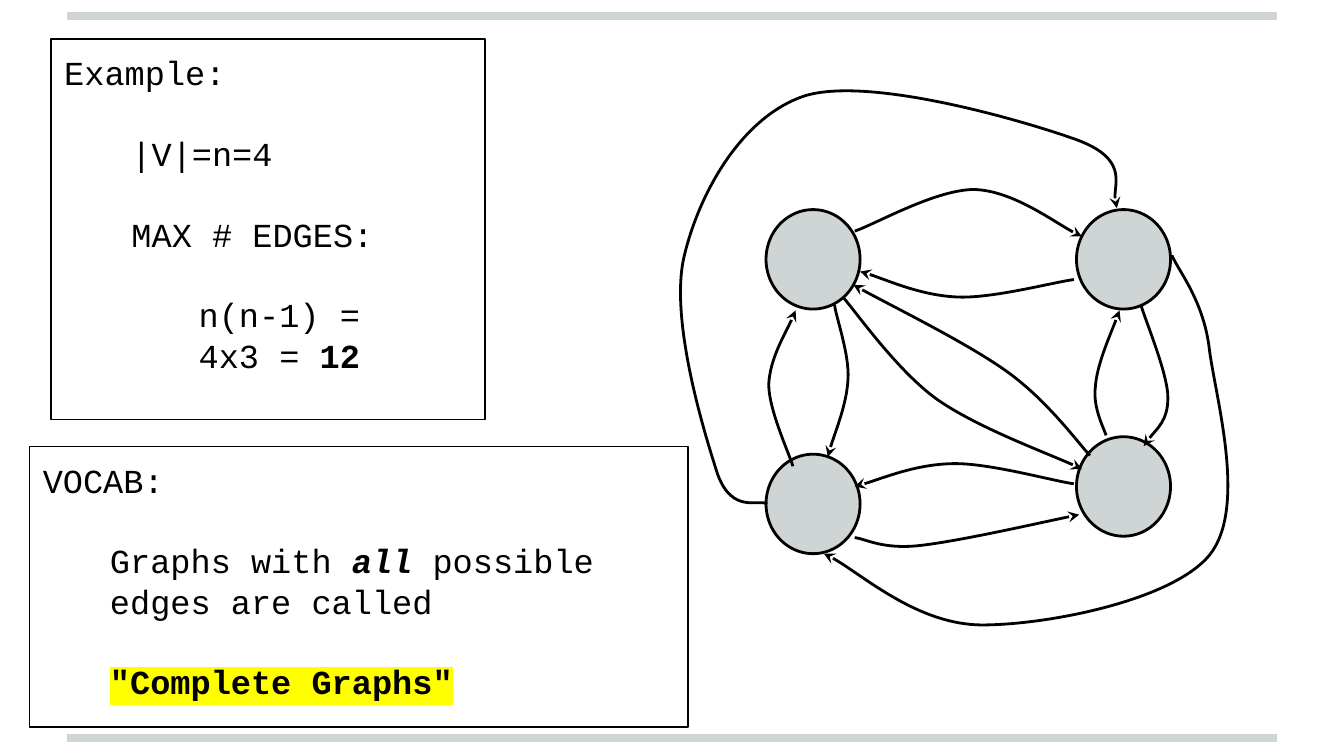
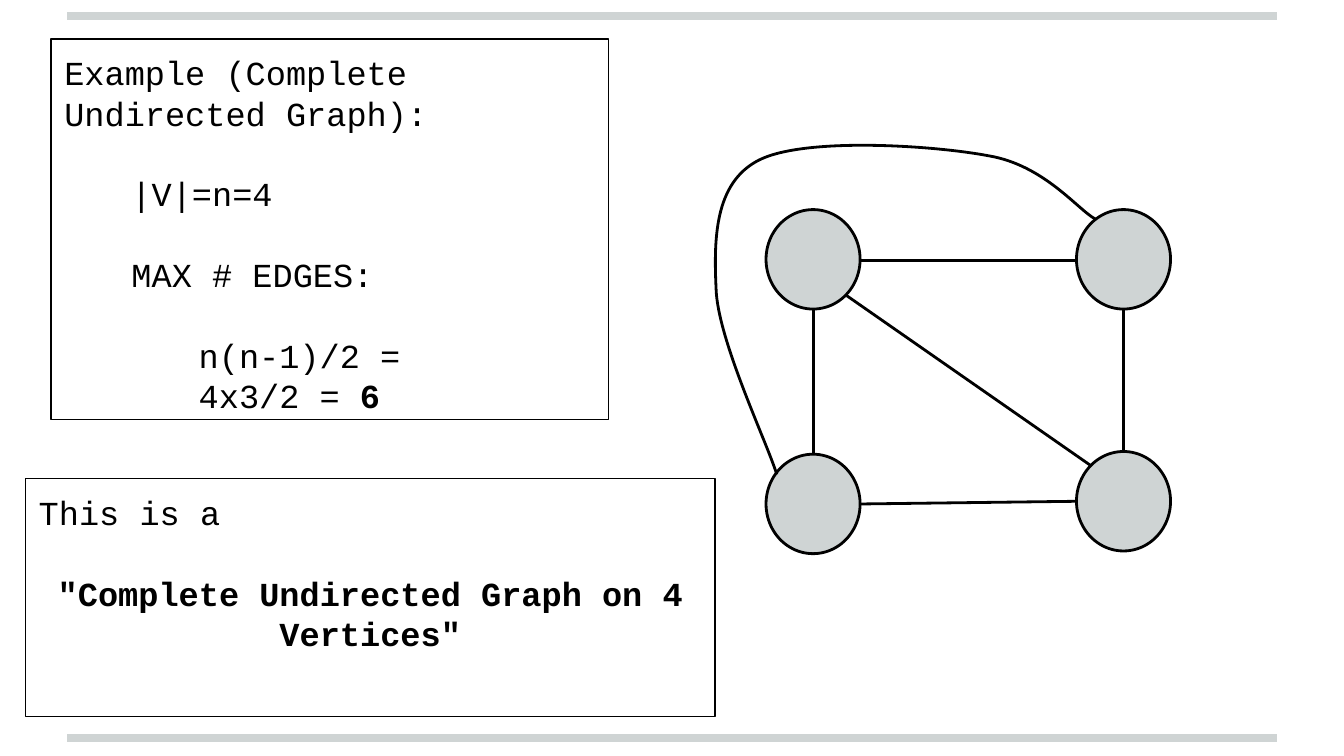
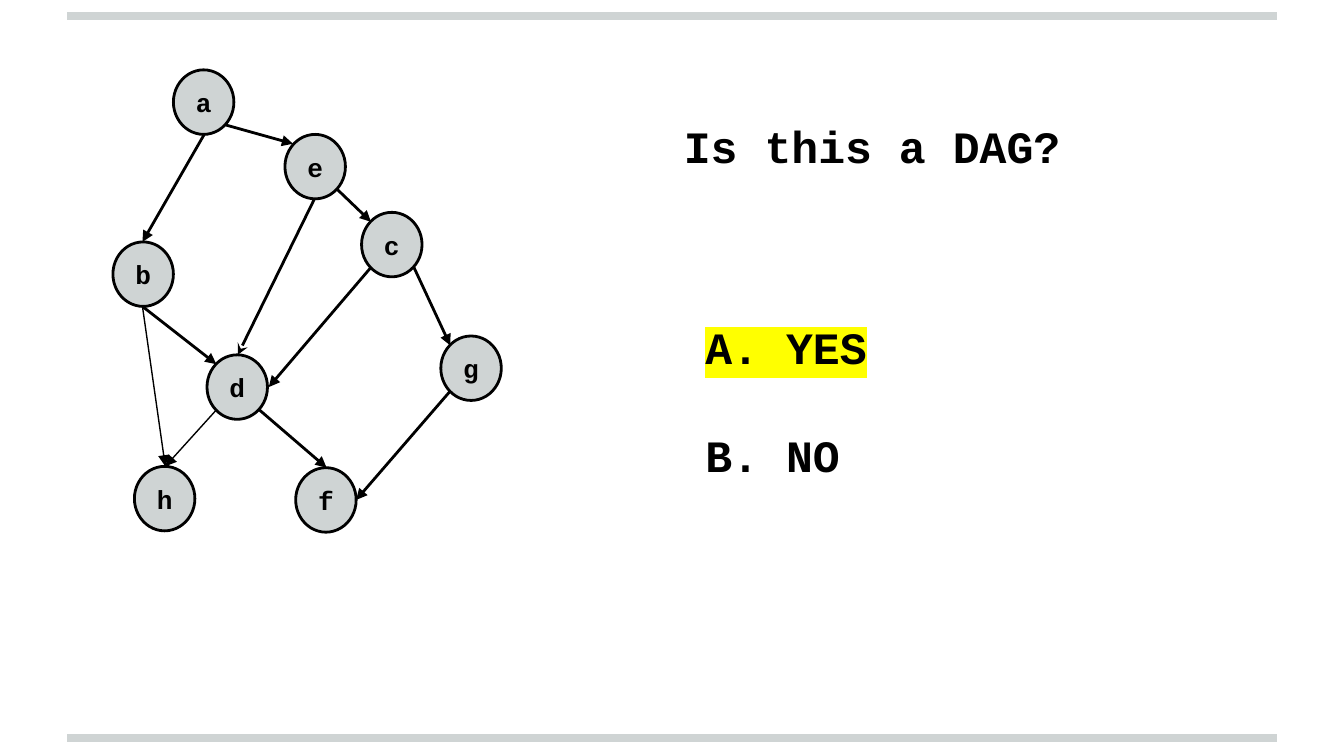
"""Builds three slides on complete graphs and directed acyclic graphs."""
from dataclasses import dataclass

from lxml import etree
from pptx import Presentation
from pptx import util as u
from pptx.dml.color import RGBColor
from pptx.enum import shapes, text
from pptx.oxml.ns import qn

PX = 9144
PAGE_WIDTH = 1000
INK = RGBColor(0x00, 0x00, 0x00)
MIST = RGBColor(0xCF, 0xD4, 0xD4)
MARKER = RGBColor(0xFF, 0xFF, 0x00)
FONT = "Courier New"
INSET = 10
INDENT = 50
LEADING = 1.2
CURVE_STEPS = 12

Point = tuple[int, int]
Frame = tuple[int, int, int, int]


@dataclass(frozen=True)
class Span:
    words: str
    bold: bool = False
    italic: bool = False
    marked: bool = False


@dataclass(frozen=True)
class Line:
    spans: tuple[Span, ...]
    level: int = 0
    gap: bool = False
    align: text.PP_ALIGN = text.PP_ALIGN.LEFT


@dataclass(frozen=True)
class Panel:
    frame: Frame
    lines: tuple[Line, ...]
    size: int = 18
    outlined: bool = True


@dataclass(frozen=True)
class Node:
    left: int
    top: int
    label: str = ""


@dataclass(frozen=True)
class Edge:
    points: tuple[Point, ...]
    head: str = ""
    tail: str = ""
    weight: float = 1.5


def plain(words: str, level: int = 0, gap: bool = False) -> Line:
    return Line((Span(words),), level, gap)


def add_page(deck):
    page = deck.slides.add_slide(deck.slide_layouts[6])
    for y in (549, 12):
        draw_line(page, Edge(((50, y), (950, y)), weight=4), MIST)
    return page


def style_line(shape, color: RGBColor, weight: float) -> None:
    shape.line.color.rgb = color
    shape.line.width = u.Pt(weight)


def add_arrowheads(shape, edge: Edge) -> None:
    outline = shape.line._get_or_add_ln()
    for tag, kind in (("a:headEnd", edge.head), ("a:tailEnd", edge.tail)):
        if kind:
            etree.SubElement(outline, qn(tag), type=kind)


def draw_line(page, edge: Edge, color: RGBColor = INK) -> None:
    ends = [value * PX for point in edge.points for value in point]
    line = page.shapes.add_connector(shapes.MSO_CONNECTOR.STRAIGHT, *ends)
    style_line(line, color, edge.weight)
    add_arrowheads(line, edge)
    etree.SubElement(line._element.spPr, qn("a:effectLst"))


def curve_point(controls: tuple[Point, ...], t: float) -> Point:
    weights = ((1 - t) ** 3, 3 * t * (1 - t) ** 2, 3 * t * t * (1 - t), t**3)
    x, y = (sum(w * p[axis] for w, p in zip(weights, controls)) for axis in (0, 1))
    return round(x), round(y)


def draw_curve(page, edge: Edge) -> None:
    points = edge.points
    starts = range(0, len(points) - 1, 3)
    samples = [
        curve_point(points[start:start + 4], step / CURVE_STEPS)
        for start in starts
        for step in range(1, CURVE_STEPS + 1)
    ]
    builder = page.shapes.build_freeform(*points[0], scale=PX)
    builder.add_line_segments(samples, close=False)
    curve = builder.convert_to_shape()
    left, top = round(curve.left / PX), round(curve.top / PX)
    outline = next(curve._element.iter(qn("a:pathLst")))[0]
    for segment in outline.findall(qn("a:lnTo")):
        outline.remove(segment)
    for start in starts:
        bezier = etree.SubElement(outline, qn("a:cubicBezTo"))
        for x, y in points[start + 1:start + 4]:
            etree.SubElement(bezier, qn("a:pt"), x=str(x - left), y=str(y - top))
    curve.shadow.inherit = False
    curve.fill.background()
    style_line(curve, INK, edge.weight)
    add_arrowheads(curve, edge)


def format_run(run, span: Span, size: int) -> None:
    font = run.font
    font.name, font.size = FONT, u.Pt(size)
    font.bold, font.italic = span.bold, span.italic
    font.color.rgb = INK
    if span.marked:
        highlight = etree.Element(qn("a:highlight"))
        etree.SubElement(highlight, qn("a:srgbClr"), val=str(MARKER))
        run._r.rPr.find(qn("a:latin")).addprevious(highlight)


def fill_paragraph(para, line: Line, size: int) -> None:
    para.text = line.spans[0].words
    for span in line.spans[1:]:
        para.add_run().text = span.words
    for run, span in zip(para.runs, line.spans):
        format_run(run, span, size)
    para.alignment = line.align


def set_insets(frame) -> None:
    frame.word_wrap = True
    frame.margin_left = frame.margin_right = INSET * PX
    frame.margin_top = frame.margin_bottom = INSET * PX


def draw_panel(page, panel: Panel) -> None:
    place = [value * PX for value in panel.frame]
    if panel.outlined:
        box = page.shapes.add_shape(shapes.MSO_SHAPE.RECTANGLE, *place)
        box.shadow.inherit = False
        box.fill.background()
        style_line(box, INK, 0.75)
    else:
        box = page.shapes.add_textbox(*place)
    frame = box.text_frame
    set_insets(frame)
    frame.vertical_anchor = text.MSO_ANCHOR.TOP
    pitch = u.Pt(panel.size * LEADING)
    for index, line in enumerate(panel.lines):
        para = frame.add_paragraph() if index else frame.paragraphs[0]
        fill_paragraph(para, line, panel.size)
        para.line_spacing = pitch
        if line.gap:
            para.space_before = pitch
        if line.level:
            para._p.get_or_add_pPr().set("marL", str(line.level * INDENT * PX))


def draw_node(page, node: Node, width: int, height: int) -> None:
    place = [value * PX for value in (node.left, node.top, width, height)]
    circle = page.shapes.add_shape(shapes.MSO_SHAPE.OVAL, *place)
    circle.shadow.inherit = False
    circle.fill.solid()
    circle.fill.fore_color.rgb = MIST
    style_line(circle, INK, 1.5)
    if node.label:
        frame = circle.text_frame
        set_insets(frame)
        frame.vertical_anchor = text.MSO_ANCHOR.MIDDLE
        label = Line((Span(node.label, bold=True),), align=text.PP_ALIGN.CENTER)
        fill_paragraph(frame.paragraphs[0], label, 14)


def draw_square_graph(page, lower_right_top: int) -> None:
    corners = ((570, 156), (801, lower_right_top), (801, 156), (570, 338))
    for left, top in corners:
        draw_node(page, Node(left, top), 70, 74)


def example_panel(width: int, title: str, formula: str, working: str, answer: str) -> Panel:
    return Panel((38, 29, width, 283), (
        plain(title),
        plain("|V|=n=4", 1, True),
        plain("MAX # EDGES:", 1, True),
        plain(formula, 2, True),
        Line((Span(working), Span(answer, bold=True)), 2),
    ))


DIRECTED_EDGES = (
    Edge(((592, 231), (589, 240), (573, 267), (572, 286), (572, 305), (587, 337), (590, 347)), head="stealth"),
    Edge(((636, 172), (651, 167), (696, 141), (725, 141), (753, 142), (791, 170), (805, 176)), tail="stealth"),
    Edge(((799, 208), (784, 210), (739, 222), (713, 221), (686, 220), (652, 205), (640, 202)), tail="stealth"),
    Edge(((833, 231), (830, 240), (816, 272), (815, 288), (813, 303), (821, 318), (823, 324)), head="stealth"),
    Edge(((851, 332), (854, 326), (869, 313), (869, 296), (869, 278), (852, 238), (849, 227)), head="stealth"),
    Edge(((803, 383), (783, 387), (712, 403), (684, 406), (657, 409), (644, 401), (636, 400)), head="stealth"),
    Edge(((636, 362), (649, 359), (683, 345), (711, 345), (738, 345), (784, 358), (799, 360)), head="stealth"),
    Edge(((616, 340), (618, 330), (630, 301), (631, 282), (632, 263), (622, 236), (621, 227)), head="stealth"),
    Edge(((628, 222), (639, 235), (668, 276), (697, 297), (727, 318), (787, 340), (805, 349)), tail="stealth"),
    Edge(((811, 339), (801, 328), (779, 298), (750, 277), (721, 256), (654, 223), (635, 212)), tail="stealth"),
    Edge(((872, 190), (877, 202), (896, 224), (900, 261), (905, 298), (928, 378), (900, 413),
          (872, 447), (779, 465), (731, 465), (683, 465), (633, 420), (613, 412)), tail="stealth"),
    Edge(((571, 375), (565, 371), (545, 383), (534, 353), (524, 322), (498, 238), (509, 191),
          (520, 144), (552, 86), (600, 71), (649, 57), (762, 90), (801, 104),
          (839, 118), (826, 147), (831, 155)), tail="stealth"),
)

UNDIRECTED_EDGES = (
    Edge(((605, 231), (605, 338))),
    Edge(((640, 194), (801, 194))),
    Edge(((836, 231), (836, 336))),
    Edge(((640, 375), (801, 373))),
    Edge(((630, 220), (811, 346))),
)

OUTER_EDGE = Edge((
    (578, 353), (571, 330), (536, 257), (533, 218), (531, 179), (531, 136), (565, 119),
    (599, 102), (694, 108), (736, 116), (777, 123), (802, 156), (815, 163),
))

DAG_NODES = (
    Node(129, 52, "a"), Node(154, 264, "d"), Node(84, 180, "b"), Node(220, 348, "f"),
    Node(269, 158, "c"), Node(328, 250, "g"), Node(212, 100, "e"), Node(100, 347, "h"),
)

DAG_EDGES = (
    Edge(((168, 93), (218, 107)), tail="triangle"),
    Edge(((251, 141), (276, 165)), tail="triangle"),
    Edge(((276, 199), (200, 288)), tail="triangle"),
    Edge(((177, 264), (234, 148)), head="stealth"),
    Edge(((152, 100), (106, 180)), tail="triangle"),
    Edge(((106, 228), (161, 271)), tail="triangle"),
    Edge(((193, 305), (243, 348)), tail="triangle"),
    Edge(((265, 372), (335, 291)), head="triangle"),
    Edge(((335, 257), (308, 199)), head="triangle"),
    Edge(((106, 228), (123, 347)), tail="triangle", weight=0.75),
    Edge(((161, 305), (123, 347)), tail="triangle", weight=0.75),
)


def build_directed_page(deck) -> None:
    page = add_page(deck)
    draw_square_graph(page, 325)
    for edge in DIRECTED_EDGES:
        draw_curve(page, edge)
    draw_panel(page, example_panel(323, "Example:", "n(n-1) =", "4x3 = ", "12"))
    draw_panel(page, Panel((22, 332, 490, 209), (
        plain("VOCAB:"),
        Line((Span("Graphs with "), Span("all", bold=True, italic=True),
              Span(" possible edges are called")), 1, True),
        Line((Span('"Complete Graphs"', bold=True, marked=True),), 1, True),
    )))


def build_undirected_page(deck) -> None:
    page = add_page(deck)
    draw_square_graph(page, 336)
    for edge in UNDIRECTED_EDGES:
        draw_line(page, edge)
    draw_curve(page, OUTER_EDGE)
    draw_panel(page, example_panel(
        415, "Example (Complete Undirected Graph):", "n(n-1)/2 =", "4x3/2 = ", "6"))
    draw_panel(page, Panel((19, 356, 513, 177), (
        plain("This is a"),
        Line((Span('"Complete Undirected Graph on 4 Vertices"', bold=True),),
             gap=True, align=text.PP_ALIGN.CENTER),
    )))


def build_dag_page(deck) -> None:
    page = add_page(deck)
    for node in DAG_NODES:
        draw_node(page, node, 45, 48)
    for edge in DAG_EDGES:
        draw_line(page, edge)
    question = Line((Span("Is this a DAG?", bold=True),))
    answers = (
        Line((Span("A. YES", bold=True, marked=True),)),
        Line((Span("B. NO", bold=True),), gap=True),
    )
    draw_panel(page, Panel((499, 78, 334, 86), (question,), 24, False))
    draw_panel(page, Panel((515, 228, 334, 154), answers, 24, False))


def main() -> None:
    deck = Presentation()
    deck.slide_width = PAGE_WIDTH * PX
    deck.slide_height = deck.slide_width * 9 // 16
    build_directed_page(deck)
    build_undirected_page(deck)
    build_dag_page(deck)
    deck.save("out.pptx")


if __name__ == "__main__":
    main()
